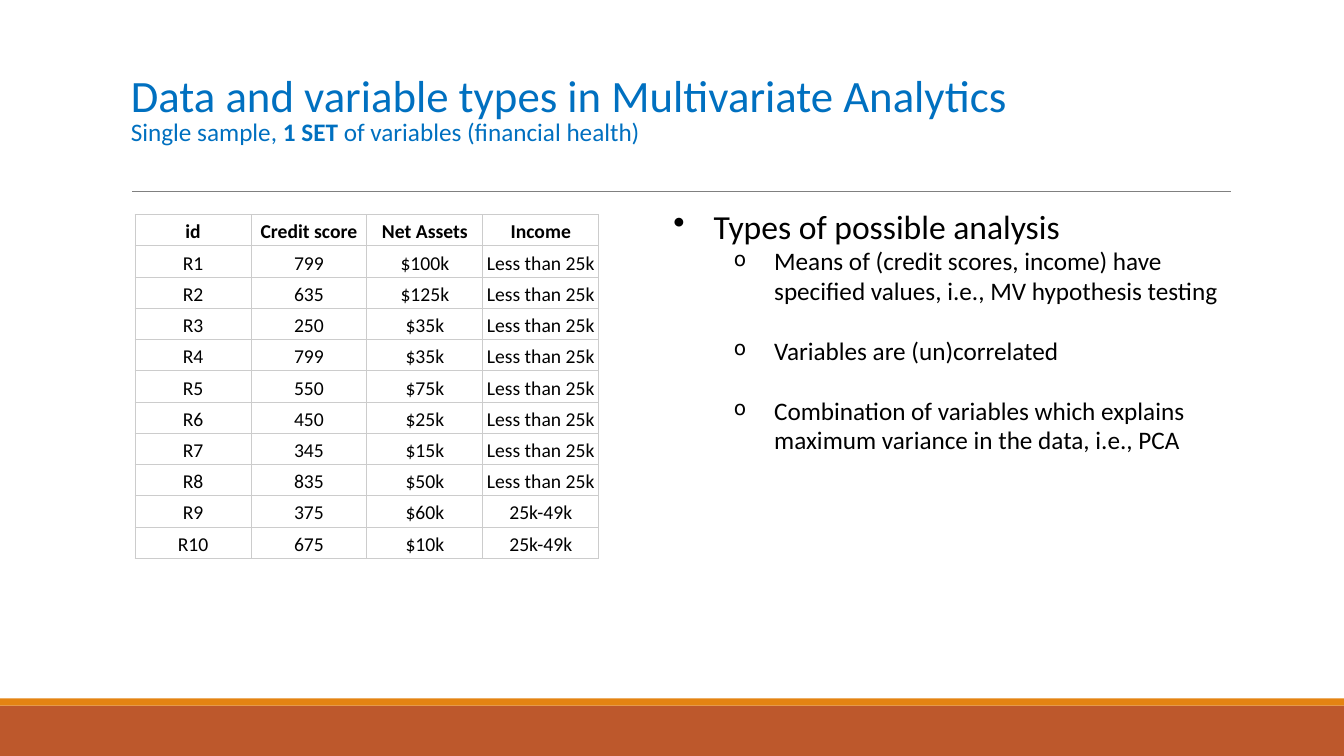
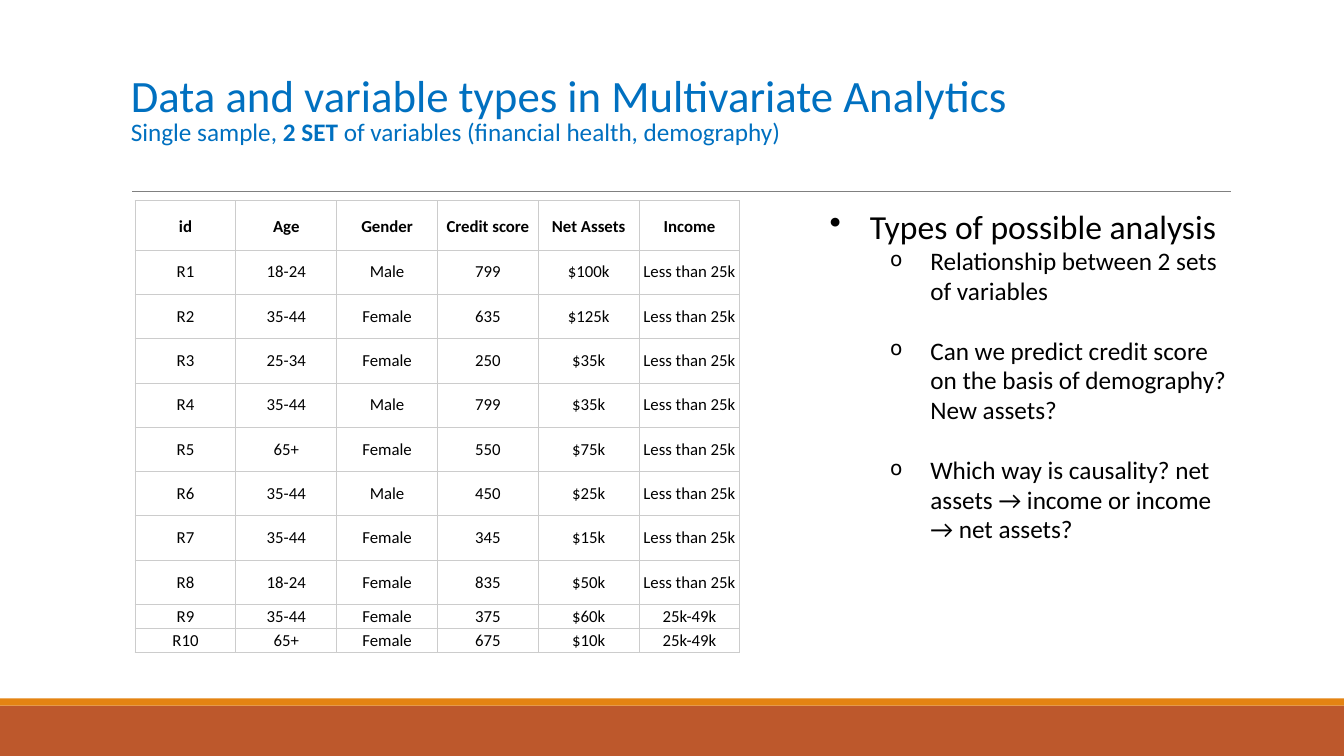
"""Build two slides on data and variable types in multivariate analytics."""
from lxml import etree
from pptx import Presentation
from pptx import util as u
from pptx.dml.color import RGBColor
from pptx.enum import shapes, text
from pptx.oxml import parse_xml
from pptx.oxml.ns import nsdecls, qn

PX = 9144
FONT = "Calibri"
BLUE, BLACK, GREY, RUST, ORANGE, GRID = "0070C0", "000000", "808080", "BD582C", "E48312", "CCCCCC"


def rgb(value):
    return RGBColor.from_string(value)


def style(font, size, color, bold=False):
    font.name, font.size, font.bold = FONT, u.Pt(size), bold
    font.color.rgb = rgb(color)


header = ["id", "Age", "Gender", "Credit score", "Net Assets", "Income"]
ages = ["18-24", "35-44", "25-34", "35-44", "65+", "35-44", "35-44", "18-24", "35-44", "65+"]
genders = ["Male", "Female", "Female", "Male", "Female", "Male"] + ["Female"] * 4
scores = [799, 635, 250, 799, 550, 450, 345, 835, 375, 675]
assets = [100, 125, 35, 35, 75, 25, 15, 50, 60, 10]
incomes = ["Less than 25k"] * 8 + ["25k-49k"] * 2
records = [header] + [
    [f"R{number}", age, gender, str(score), f"${asset}k", income]
    for number, (age, gender, score, asset, income)
    in enumerate(zip(ages, genders, scores, assets, incomes), 1)
]

pages = [
    dict(
        sets="1 SET ", scope="of variables (financial health)",
        columns=[0, 3, 4, 5], table_top=213, column_width=115, row_heights=[31] * 11,
        size=14, anchor=text.MSO_ANCHOR.BOTTOM, body_spacing=1.15,
        points_left=608, points_width=612,
        points=[
            "Means of (credit scores, income) have specified values, i.e., MV hypothesis testing",
            "Variables are (un)correlated",
            "Combination of variables which explains maximum variance in the data, i.e., PCA",
        ],
    ),
    dict(
        sets="2 SET ", scope="of variables (financial health, demography)",
        columns=[0, 1, 2, 3, 4, 5], table_top=199, column_width=100,
        row_heights=[49] + [44] * 8 + [24] * 2,
        size=12, anchor=text.MSO_ANCHOR.MIDDLE, body_spacing=1.0,
        points_left=763, points_width=464,
        points=[
            "Relationship between 2 sets of variables",
            "Can we predict credit score on the basis of demography? New assets?",
            "Which way is causality? net assets → income or income → net assets?",
        ],
    ),
]

deck = Presentation()
deck.slide_width, deck.slide_height = u.Inches(13.333), u.Inches(7.5)

for page in pages:
    slide = deck.slides.add_slide(deck.slide_layouts[6])

    for top, height, color in [(700, 50, RUST), (693, 7, ORANGE)]:
        band = slide.shapes.add_shape(
            shapes.MSO_SHAPE.RECTANGLE, 0, top * PX, deck.slide_width, height * PX)
        band.shadow.inherit = False
        band.fill.solid()
        band.fill.fore_color.rgb = rgb(color)
        band.line.fill.background()

    rule = slide.shapes.add_connector(
        shapes.MSO_CONNECTOR.STRAIGHT, 131 * PX, 190 * PX, 1221 * PX, 190 * PX)
    rule.line.color.rgb = rgb(GREY)
    rule.line.width = u.Pt(0.5)
    etree.SubElement(rule._element.spPr, qn("a:effectLst"))

    title = slide.shapes.add_textbox(120 * PX, 31 * PX, 1100 * PX, 159 * PX).text_frame
    title.word_wrap = True
    title.vertical_anchor = text.MSO_ANCHOR.MIDDLE
    heading = title.paragraphs[0]
    heading.line_spacing = 0.85
    style(heading.font, 32, BLUE)
    heading.add_run().text = "Data and variable types in Multivariate Analytics"
    heading.add_line_break()
    for words, bold in [("Single sample, ", False), (page["sets"], True), (page["scope"], False)]:
        subtitle = heading.add_run()
        subtitle.text = words
        style(subtitle.font, 18, BLUE, bold)

    columns, heights = page["columns"], page["row_heights"]
    table = slide.shapes.add_table(
        len(records), len(columns), 134 * PX, page["table_top"] * PX,
        len(columns) * page["column_width"] * PX, sum(heights) * PX).table
    table.first_row = table.horz_banding = False
    for column in table.columns:
        column.width = page["column_width"] * PX
    for r, (record, height) in enumerate(zip(records, heights)):
        table.rows[r].height = height * PX
        for c, field in enumerate(columns):
            cell = table.cell(r, c)
            cell.margin_left = cell.margin_right = 3 * PX
            cell.margin_top = cell.margin_bottom = 2 * PX
            cell.vertical_anchor = page["anchor"]
            for side in "LRTB":
                cell._tc.get_or_add_tcPr().append(parse_xml(
                    f'<a:ln{side} {nsdecls("a")} w="{u.Pt(0.75)}"><a:solidFill>'
                    f'<a:srgbClr val="{GRID}"/></a:solidFill></a:ln{side}>'))
            cell.fill.background()
            cell.text = record[field]
            entry = cell.text_frame.paragraphs[0]
            entry.alignment = text.PP_ALIGN.CENTER
            entry.line_spacing = 1.15 if r == 0 else page["body_spacing"]
            style(entry.font, page["size"], BLACK, r == 0)

    analysis = slide.shapes.add_textbox(
        page["points_left"] * PX, 201 * PX, page["points_width"] * PX, 432 * PX).text_frame
    analysis.word_wrap = True
    analysis.margin_left = analysis.margin_right = 0
    for i, words in enumerate(["Types of possible analysis"] + page["points"]):
        point = analysis.paragraphs[0] if i == 0 else analysis.add_paragraph()
        point.text = words
        point.line_spacing = 0.98
        point.space_before = u.Pt(21.6 if i > 1 else 0)
        indent, mark, mark_size, size = (160, "o", 80, 18) if i else (100, "•", 100, 24)
        layout = point._p.get_or_add_pPr()
        layout.set("marL", str(indent * PX))
        layout.set("indent", str(-40 * PX))
        etree.SubElement(layout, qn("a:buSzPct"), val=str(mark_size * 1000))
        etree.SubElement(layout, qn("a:buChar"), char=mark)
        style(point.font, size, BLACK)

deck.save("out.pptx")
